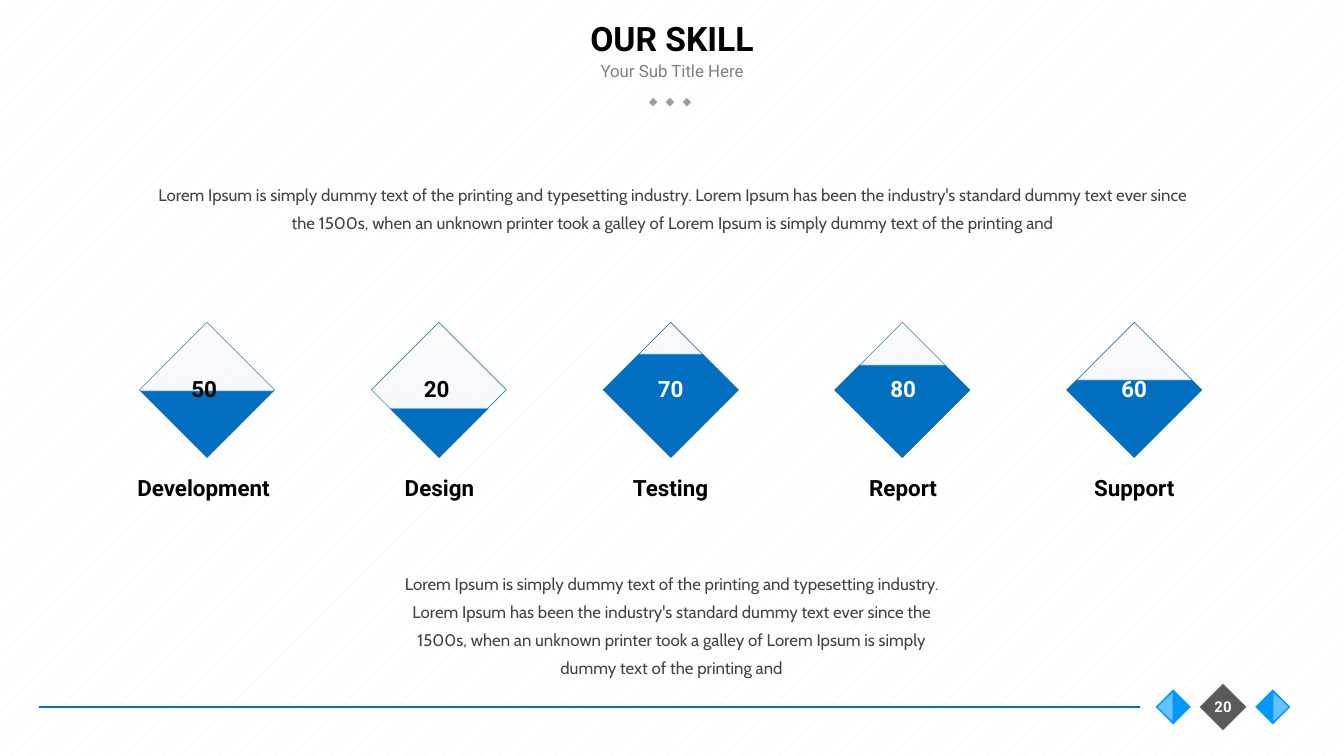
from dataclasses import dataclass

from lxml.etree import SubElement
from pptx import Presentation
from pptx.dml.color import RGBColor
from pptx.enum.dml import MSO_PATTERN
from pptx.enum.shapes import MSO_CONNECTOR, MSO_SHAPE
from pptx.enum.text import MSO_ANCHOR, MSO_AUTO_SIZE, PP_ALIGN
from pptx.oxml.ns import qn
from pptx.util import Inches, Pt


@dataclass(frozen=True)
class Theme:
    heading_font: str = "Roboto"
    body_font: str = "Cabin"
    black: str = "000000"
    white: str = "FFFFFF"
    pattern: str = "F2F2F2"
    muted: str = "808080"
    dot: str = "9B9B9B"
    body: str = "434343"
    dark: str = "595959"
    rule: str = "006EBC"
    level: str = "0070C0"
    empty: str = "EFF2FB"
    arrow: str = "0099FF"
    arrow_light: str = "66C2FF"
    title_size: int = 18
    label_size: int = 12
    body_size: int = 9
    number_size: int = 8
    leading: int = 15
    hairline: float = 0.25
    rule_width: float = 0.75


THEME = Theme()
BODY_TEXT = (
    "Lorem Ipsum is simply dummy text of the printing and typesetting industry. "
    "Lorem Ipsum has been the industry's standard dummy text ever since the 1500s, "
    "when an unknown printer took a galley of Lorem Ipsum is simply dummy text of "
    "the printing and"
)
# Name, value, fill level in percent, value colour, value left, label left, label width
SKILLS = [
    ("Development", "50", 49, THEME.black, 0.97, 0.82, 1.39),
    ("Design", "20", 36, THEME.black, 2.7, 2.72, 1.1),
    ("Testing", "70", 76, THEME.white, 4.44, 4.44, 1.1),
    ("Report", "80", 68, THEME.white, 6.17, 6.17, 1.1),
    ("Support", "60", 57, THEME.white, 7.89, 7.89, 1.1),
]


def rgb(color):
    return RGBColor.from_string(color)


def write_text(frame, text, *, size, color, font=THEME.heading_font, bold=False,
               anchor=MSO_ANCHOR.TOP, leading=None):
    frame.word_wrap = True
    frame.auto_size = MSO_AUTO_SIZE.NONE
    frame.vertical_anchor = anchor
    para = frame.paragraphs[0]
    para.alignment = PP_ALIGN.CENTER
    para.space_before = Pt(0)
    if leading:
        para.line_spacing = Pt(leading)
    span = para.add_run()
    span.text = text
    span.font.name = font
    span.font.size = Pt(size)
    span.font.bold = bold
    span.font.color.rgb = rgb(color)


class SlideBuilder:
    def __init__(self, page, theme):
        self.page = page
        self.theme = theme

    def background(self):
        fill = self.page.background.fill
        fill.patterned()
        fill.pattern = MSO_PATTERN.PERCENT_5
        fill.fore_color.rgb = rgb(self.theme.pattern)
        fill.back_color.rgb = rgb(self.theme.white)

    def placeholder(self, index, left, top, width, height, text, **style):
        box = self.page.placeholders[index]
        box.left, box.top = Inches(left), Inches(top)
        box.width, box.height = Inches(width), Inches(height)
        write_text(box.text_frame, text, anchor=MSO_ANCHOR.MIDDLE, **style)

    def text(self, left, top, width, height, text, **style):
        box = self.page.shapes.add_textbox(
            Inches(left), Inches(top), Inches(width), Inches(height))
        write_text(box.text_frame, text, **style)

    def shape(self, kind, center_x, center_y, width, height, rotation, fill, line=None):
        shape = self.page.shapes.add_shape(
            kind, Inches(center_x - width / 2), Inches(center_y - height / 2),
            Inches(width), Inches(height))
        shape.rotation = rotation
        shape.shadow.inherit = False
        shape.fill.solid()
        shape.fill.fore_color.rgb = rgb(fill)
        if line:
            shape.line.color.rgb = rgb(line)
            shape.line.width = Pt(self.theme.hairline)
        else:
            shape.line.fill.background()
        return shape

    def diamond(self, center_x, center_y, side, fill):
        self.shape(MSO_SHAPE.RECTANGLE, center_x, center_y, side, side, 315,
                   fill, self.theme.white)

    def gauge(self, center_x, center_y, side, level):
        theme = self.theme
        gauge = self.shape(MSO_SHAPE.RECTANGLE, center_x, center_y, side, side, 225,
                           theme.level, theme.level)
        gauge.fill.gradient()
        gauge.fill.gradient_angle = 315
        # Sharp colour change at the level
        stops = gauge.element.spPr.find(qn("a:gradFill")).find(qn("a:gsLst"))
        for stop in list(stops):
            stops.remove(stop)
        for position, color, alpha in (
                (0, theme.level, 100), (level, theme.level, 100),
                (level + 1, theme.empty, 41), (100, theme.white, 100)):
            stop = SubElement(stops, qn("a:gs"), pos=str(position * 1000))
            shade = SubElement(stop, qn("a:srgbClr"), val=color)
            if alpha < 100:
                SubElement(shade, qn("a:alpha"), val=str(alpha * 1000))

    def arrow(self, center_x, center_y, direction):
        """Diamond with a light outer half; direction is 1 for right, -1 for left."""
        self.diamond(center_x, center_y, 0.19, self.theme.arrow)
        self.shape(MSO_SHAPE.FLOWCHART_EXTRACT, center_x + direction * 0.06, center_y,
                   0.21, 0.11, 90 * direction % 360, self.theme.arrow_light)

    def line(self, left, right, y):
        line = self.page.shapes.add_connector(
            MSO_CONNECTOR.STRAIGHT, Inches(left), Inches(y), Inches(right), Inches(y))
        line.line.color.rgb = rgb(self.theme.rule)
        line.line.width = Pt(self.theme.rule_width)
        SubElement(line.element.spPr, qn("a:effectLst"))


def main():
    deck = Presentation()
    # Widescreen, 16 to 9
    deck.slide_width = Inches(10)
    deck.slide_height = deck.slide_width * 9 // 16
    page = deck.slides.add_slide(deck.slide_layouts[0])
    builder = SlideBuilder(page, THEME)
    builder.background()

    # Heading
    builder.placeholder(0, 0.75, 0, 8.5, 0.56, "OUR SKILL",
                        size=THEME.title_size, color=THEME.black, bold=True)
    builder.placeholder(1, 3.75, 0.4, 2.5, 0.25, "Your Sub Title Here",
                        size=THEME.body_size, color=THEME.muted)
    for column in range(3):
        builder.diamond(4.86 + column * 0.25 / 2, 0.76, 0.05, THEME.dot)

    # Paragraphs above and below the gauges
    for left, top, width, height in ((1.04, 1.27, 7.92, 0.52), (2.84, 4.16, 4.31, 0.94)):
        builder.text(left, top, width, height, BODY_TEXT, font=THEME.body_font,
                     size=THEME.body_size, color=THEME.body, leading=THEME.leading)

    # Skill gauges
    gauge_step = 6.9 / (len(SKILLS) - 1)
    for column, skill in enumerate(SKILLS):
        name, value, level, color, value_left, label_left, label_width = skill
        builder.gauge(1.54 + column * gauge_step, 2.9, 0.71, level)
        builder.text(value_left, 2.74, 1.1, 0.3, value,
                     size=THEME.label_size, color=color, bold=True)
        builder.text(label_left, 3.48, label_width, 0.3, name,
                     size=THEME.label_size, color=THEME.black, bold=True)

    # Footer
    footer_y = 5.26
    builder.line(0.29, 8.48, footer_y)
    builder.arrow(8.73, footer_y, -1)
    builder.arrow(9.47, footer_y, 1)
    builder.diamond(9.1, footer_y, 0.25, THEME.dark)
    builder.text(8.89, 5.13, 0.42, 0.25, "20", size=THEME.number_size,
                 color=THEME.white, bold=True, anchor=MSO_ANCHOR.MIDDLE)

    deck.save("out.pptx")


if __name__ == "__main__":
    main()
